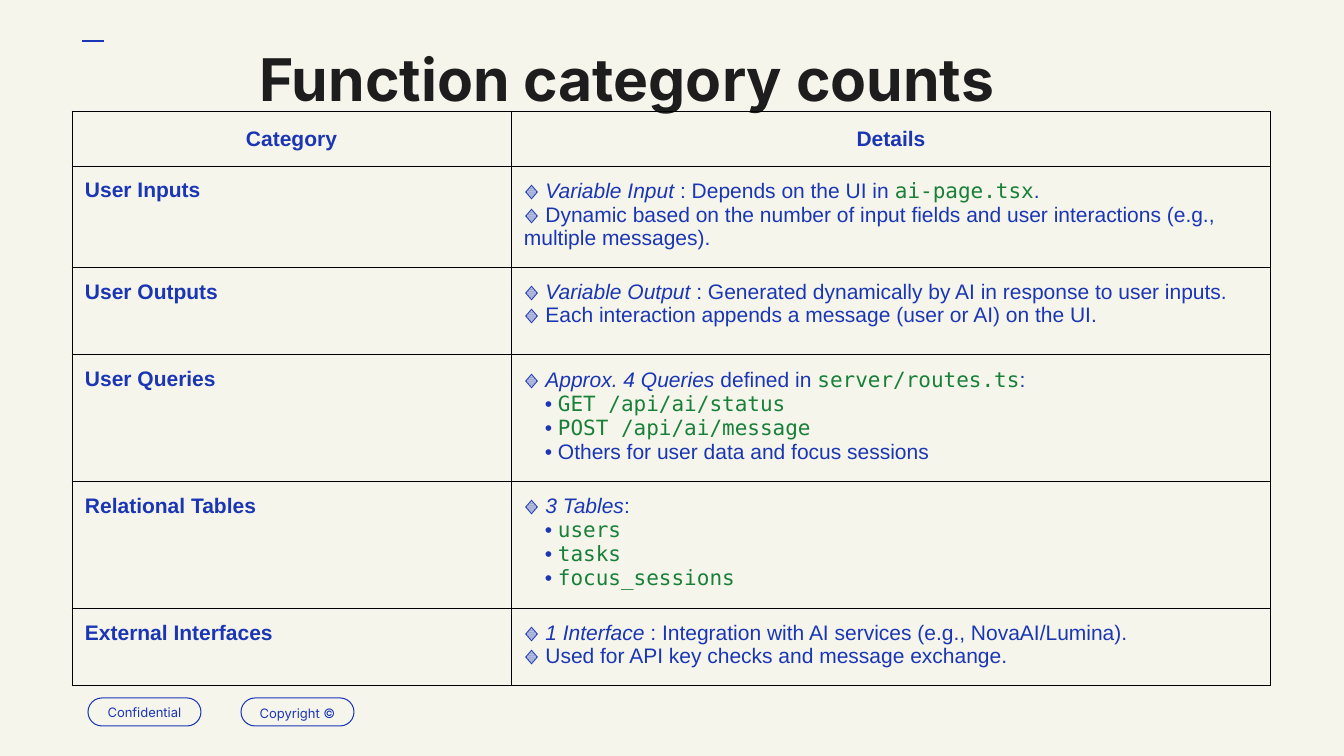
"""Build the slide that lists function category counts."""
from dataclasses import dataclass

from lxml import etree
from pptx import Presentation
from pptx.dml.color import RGBColor
from pptx.enum.shapes import MSO_CONNECTOR, MSO_SHAPE
from pptx.enum.text import MSO_ANCHOR, PP_ALIGN
from pptx.oxml.ns import qn
from pptx.util import Emu, Pt

PILL = MSO_SHAPE.ROUNDED_RECTANGLE
LINE = MSO_CONNECTOR.STRAIGHT
MID, TOP = MSO_ANCHOR.MIDDLE, MSO_ANCHOR.TOP
LEFT, MIDST = PP_ALIGN.LEFT, PP_ALIGN.CENTER
SCALE = 914400 / 100.8


def px(num):
    return Emu(round(num * SCALE))


@dataclass(frozen=True)
class Theme:
    paper: str = "F6F5EC"
    blue: str = "1A36B4"
    ink: str = "1D1D1D"
    green: str = "188038"
    edge: str = "000000"
    thin: float = 0.75
    pad: int = 13

    def font(self, kind):
        base = {"name": "Arial", "size": Pt(15), "bold": False, "italic": False}
        more, tint = {
            "body": ({}, self.blue),
            "head": ({"bold": True}, self.blue),
            "ital": ({"italic": True}, self.blue),
            "code": ({"name": "DejaVu Sans Mono"}, self.green),
            "title": ({"name": "Inter", "size": Pt(42), "bold": True}, self.ink),
            "tag": ({"name": "Inter", "size": Pt(9.3)}, self.blue),
        }[kind]
        return base | more, tint


class Deck:
    def __init__(self, theme):
        self.theme = theme
        self.show = Presentation()
        self.show.slide_width, self.show.slide_height = px(1344), px(756)
        self.slide = self.show.slides.add_slide(self.show.slide_layouts[6])
        fill = self.slide.background.fill
        fill.solid()
        fill.fore_color.rgb = RGBColor.from_string(theme.paper)

    def inset(self, box):
        for side in ("left", "top", "right", "bottom"):
            setattr(box, f"margin_{side}", px(self.theme.pad))

    def bullet(self, para):
        props = para._p.get_or_add_pPr()
        props.set("marL", str(px(34)))
        props.set("indent", str(-px(13)))
        tint = etree.SubElement(props, qn("a:buClr"))
        etree.SubElement(tint, qn("a:srgbClr"), val=self.theme.blue)
        etree.SubElement(props, qn("a:buFont"), typeface="Arial")
        etree.SubElement(props, qn("a:buChar"), char="•")

    def text(self, frame, paras, align=LEFT, space=1.0):
        frame.word_wrap = True
        for i, (runs, sub) in enumerate(paras):
            para = frame.add_paragraph() if i else frame.paragraphs[0]
            para.alignment, para.line_spacing = align, space
            if sub:
                self.bullet(para)
            for words, kind in runs:
                run = para.add_run()
                run.text = words
                form, tint = self.theme.font(kind)
                for key, val in form.items():
                    setattr(run.font, key, val)
                run.font.color.rgb = RGBColor.from_string(tint)

    def title(self, words, *rect):
        frame = self.slide.shapes.add_textbox(*map(px, rect)).text_frame
        self.inset(frame)
        frame.vertical_anchor = TOP
        self.text(frame, [line((words, "title"))], MIDST, 0.8)

    def stroke(self, edge):
        edge.color.rgb = RGBColor.from_string(self.theme.blue)
        edge.width = Pt(self.theme.thin)

    def dash(self, *ends):
        dash = self.slide.shapes.add_connector(LINE, *map(px, ends))
        self.stroke(dash.line)
        etree.SubElement(dash._element.spPr, qn("a:effectLst"))

    def tag(self, words, space, *rect):
        tag = self.slide.shapes.add_shape(PILL, *map(px, rect))
        tag.adjustments[0] = 0.5
        tag.shadow.inherit = False
        tag.fill.background()
        self.stroke(tag.line)
        self.inset(tag.text_frame)
        tag.text_frame.vertical_anchor = MID
        self.text(tag.text_frame, [line((words, "tag"))], MIDST, space)

    def border(self, cell):
        props = cell._tc.get_or_add_tcPr()
        for side in "LRTB":
            edge = etree.SubElement(props, qn(f"a:ln{side}"), w=str(Pt(self.theme.thin)))
            fill = etree.SubElement(edge, qn("a:solidFill"))
            etree.SubElement(fill, qn("a:srgbClr"), val=self.theme.edge)

    def table(self, left, top, cols, tall, rows):
        rect = map(px, (left, top, sum(cols), sum(tall)))
        grid = self.slide.shapes.add_table(len(tall), len(cols), *rect).table
        grid.first_row = grid.horz_banding = False
        for col, wide in zip(grid.columns, cols):
            col.width = px(wide)
        for r, (row, high) in enumerate(zip(rows, tall)):
            grid.rows[r].height = px(high)
            align, space = (LEFT, 1.0) if r else (MIDST, 1.15)
            for c, paras in enumerate(row):
                cell = grid.cell(r, c)
                self.inset(cell)
                self.border(cell)
                cell.fill.background()
                self.text(cell.text_frame, paras, align, space)


def line(*runs):
    return runs, False


def item(*runs):
    return line(("🔹 ", "body"), *runs)


def sub(words, kind="code"):
    return [(words, kind)], True


def head(words):
    return [line((words, "head"))]


ROWS = [
    (head("Category"), head("Details")),
    (head("User Inputs"), [
        item(("Variable Input", "ital"), (" : Depends on the UI in ", "body"),
             ("ai-page.tsx", "code"), (".", "body")),
        item(("Dynamic based on the number of input fields and user interactions "
              "(e.g., multiple messages).", "body")),
    ]),
    (head("User Outputs"), [
        item(("Variable Output", "ital"),
             (" : Generated dynamically by AI in response to user inputs.", "body")),
        item(("Each interaction appends a message (user or AI) on the UI.", "body")),
    ]),
    (head("User Queries"), [
        item(("Approx. 4 Queries", "ital"), (" defined in ", "body"),
             ("server/routes.ts", "code"), (":", "body")),
        sub("GET /api/ai/status"),
        sub("POST /api/ai/message"),
        sub("Others for user data and focus sessions", "body"),
    ]),
    (head("Relational Tables"), [
        item(("3 Tables", "ital"), (":", "body")),
        *map(sub, ("users", "tasks", "focus_sessions")),
    ]),
    (head("External Interfaces"), [
        item(("1 Interface", "ital"),
             (" : Integration with AI services (e.g., NovaAI/Lumina).", "body")),
        item(("Used for API key checks and message exchange.", "body")),
    ]),
]


def main():
    deck = Deck(Theme())
    deck.dash(104, 41, 82, 41)
    for i, (words, space) in enumerate((("Confidential", 1.0), ("Copyright ©", 1.15))):
        deck.tag(words, space, 88 + 153 * i, 698, 113, 28)
    deck.title("Function category counts", 67, 43, 1120, 197)
    deck.table(72, 111, (439, 760), (54, 101, 87, 125, 125, 77), ROWS)
    deck.show.save("out.pptx")


if __name__ == "__main__":
    main()
